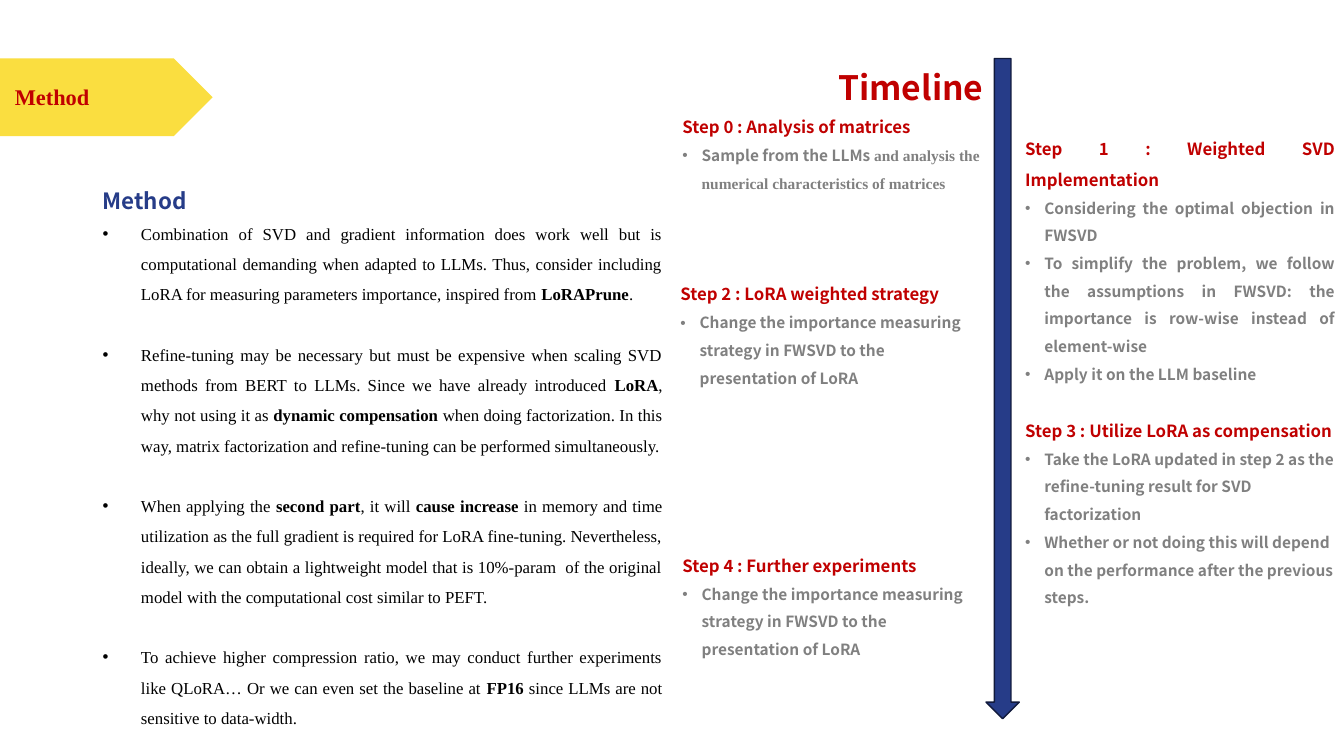
from dataclasses import dataclass

import pptx
import pptx.dml.color
import pptx.enum.shapes
import pptx.enum.text
import pptx.oxml
import pptx.oxml.ns
import pptx.util

RED = pptx.dml.color.RGBColor(0xC0, 0x00, 0x00)
BLUE = pptx.dml.color.RGBColor(0x26, 0x3C, 0x88)
NAVY = pptx.dml.color.RGBColor(0x11, 0x1A, 0x3C)
YELLOW = pptx.dml.color.RGBColor(0xFA, 0xDE, 0x40)
GREY = pptx.dml.color.RGBColor(0x80, 0x80, 0x80)
BLACK = pptx.dml.color.RGBColor(0x00, 0x00, 0x00)
SANS = "Noto Sans CJK SC"
SERIF = "Times New Roman"
LEFT = pptx.enum.text.PP_ALIGN.LEFT
RIGHT = pptx.enum.text.PP_ALIGN.RIGHT
JUSTIFY = pptx.enum.text.PP_ALIGN.JUSTIFY
SHAPES = pptx.enum.shapes.MSO_SHAPE

GRID = 0.1  # inches per column and per row
LEFT_COLUMN, RIGHT_COLUMN = 66.7, 100.7
LEFT_SPAN, RIGHT_SPAN = 31.8, 32.7
MARK = "|"  # switches between plain and marked text


@dataclass(frozen=True)
class Area:
    column: float
    row: float
    columns: float
    rows: float


@dataclass(frozen=True)
class Style:
    size: float
    color: pptx.dml.color.RGBColor
    font: str = SANS
    bold: bool = True
    marked_font: str = SANS
    indent: float = 0
    space_before: float = 0


@dataclass(frozen=True)
class Block:
    area: Area
    heading: str
    heading_style: Style
    points: tuple[str, ...] = ()
    point_style: Style | None = None
    align: pptx.enum.text.PP_ALIGN = LEFT
    spacing: float = 1.5


STEP_HEADING = Style(12, RED)
STEP_POINT = Style(11, GREY, marked_font=SERIF, indent=0.19)
METHOD_POINT = Style(12, BLACK, SERIF, False, SERIF, 0.38, 21.6)

BLOCKS = (
    Block(Area(0.5, 7.8, 17.4, 3.7), "Method", Style(16, RED, SERIF), align=JUSTIFY, spacing=1),
    Block(
        Area(9.2, 16.7, 57.5, 56.2), "Method", Style(16, BLUE),
        (
            "Combination of SVD and gradient information does work well but is computational "
            "demanding when adapted to LLMs. Thus, consider including LoRA for measuring "
            "parameters importance, inspired from |LoRAPrune|.",
            "Refine-tuning may be necessary but must be expensive when scaling SVD methods from "
            "BERT to LLMs. Since we have already introduced |LoRA|, why not using it as "
            "|dynamic compensation |when doing factorization. In this way, matrix factorization "
            "and refine-tuning can be performed simultaneously.",
            "When applying the |second part|, it will |cause increase |in memory and time "
            "utilization as the full gradient is required for LoRA fine-tuning. Nevertheless, "
            "ideally, we can obtain a lightweight model that is 10%-param  of the original model "
            "with the computational cost similar to PEFT.",
            "To achieve higher compression ratio, we may conduct further experiments like QLoRA… "
            "Or we can even set the baseline at |FP16| since LLMs are not sensitive to data-width.",
        ),
        METHOD_POINT, JUSTIFY,
    ),
    Block(Area(LEFT_COLUMN, 4.1, LEFT_SPAN, 6.4), "Timeline", Style(24, RED), align=RIGHT),
    Block(
        Area(LEFT_COLUMN, 10.1, LEFT_SPAN, 9.3), "Step 0 : Analysis of matrices", STEP_HEADING,
        ("Sample from the LLMs |and analysis the numerical characteristics of matrices",),
        STEP_POINT,
    ),
    Block(
        Area(RIGHT_COLUMN, 12.3, RIGHT_SPAN, 17.6),
        "Step 1 : Weighted SVD Implementation", STEP_HEADING,
        (
            "Considering the optimal objection in FWSVD",
            "To simplify the problem, we follow the assumptions in FWSVD: the importance is "
            "row-wise instead of element-wise",
            "Apply it on the LLM baseline",
        ),
        STEP_POINT, JUSTIFY,
    ),
    Block(
        Area(RIGHT_COLUMN, 40.2, RIGHT_SPAN, 14.9),
        "Step 3 : Utilize LoRA as compensation", STEP_HEADING,
        (
            "Take the LoRA updated in step 2 as the refine-tuning result for SVD factorization",
            "Whether or not doing this will depend on the performance after the previous steps.",
        ),
        STEP_POINT,
    ),
) + tuple(
    Block(
        Area(column, row, LEFT_SPAN, 9.3), heading, STEP_HEADING,
        ("Change the importance measuring strategy in FWSVD to the presentation of LoRA",),
        STEP_POINT,
    )
    for column, row, heading in (
        (66.5, 26.7, "Step 2 : LoRA weighted strategy"),
        (LEFT_COLUMN, 53.6, "Step 4 : Further experiments"),
    )
)


def place(area: Area) -> list[int]:
    lengths = (area.column, area.row, area.columns, area.rows)
    return [pptx.util.Inches(length * GRID) for length in lengths]


def add_figure(page, kind, area: Area, fill, outline=None):
    figure = page.shapes.add_shape(kind, *place(area))
    figure.shadow.inherit = False
    figure.fill.solid()
    figure.fill.fore_color.rgb = fill
    if outline is None:
        figure.line.fill.background()
    else:
        figure.line.color.rgb = outline
        figure.line.width = pptx.util.Pt(1)
    return figure


def add_bullet(para, indent: float) -> None:
    properties = para._p.get_or_add_pPr()
    width = pptx.util.Inches(indent)
    properties.set("marL", str(width))
    properties.set("indent", str(-width))
    for tag, name, value in (("buFont", "typeface", "Arial"), ("buChar", "char", "•")):
        element = pptx.oxml.parse_xml(f'<a:{tag} {pptx.oxml.ns.nsdecls("a")} {name}="{value}"/>')
        properties.append(element)


def write(para, text: str, style: Style) -> None:
    for index, part in enumerate(text.split(MARK)):
        marked = index % 2 == 1
        span = para.add_run()
        span.text = part
        span.font.size = pptx.util.Pt(style.size)
        span.font.name = style.marked_font if marked else style.font
        span.font.bold = style.bold or marked
        span.font.color.rgb = style.color


def add_block(page, block: Block) -> None:
    box = page.shapes.add_textbox(*place(block.area))
    frame = box.text_frame
    frame.word_wrap = True
    frame.auto_size = pptx.enum.text.MSO_AUTO_SIZE.SHAPE_TO_FIT_TEXT
    write(frame.paragraphs[0], block.heading, block.heading_style)
    for index, point in enumerate(block.points):
        para = frame.add_paragraph()
        if index and block.point_style.space_before:
            para.space_before = pptx.util.Pt(block.point_style.space_before)
        add_bullet(para, block.point_style.indent)
        write(para, point, block.point_style)
    for para in frame.paragraphs:
        para.alignment = block.align
        para.line_spacing = block.spacing


def main() -> None:
    deck = pptx.Presentation()
    deck.slide_width = pptx.util.Inches(13.33)
    deck.slide_height = pptx.util.Inches(7.5)
    page = deck.slides.add_slide(deck.slide_layouts[6])

    # Section banner and timeline arrow
    add_figure(page, SHAPES.PENTAGON, Area(0, 5.8, 21.1, 7.7), YELLOW)
    add_figure(page, SHAPES.DOWN_ARROW, Area(97.8, 5.8, 3.3, 65.5), BLUE, NAVY)

    # Method text and timeline steps
    for block in BLOCKS:
        add_block(page, block)

    deck.save("out.pptx")


if __name__ == "__main__":
    main()
